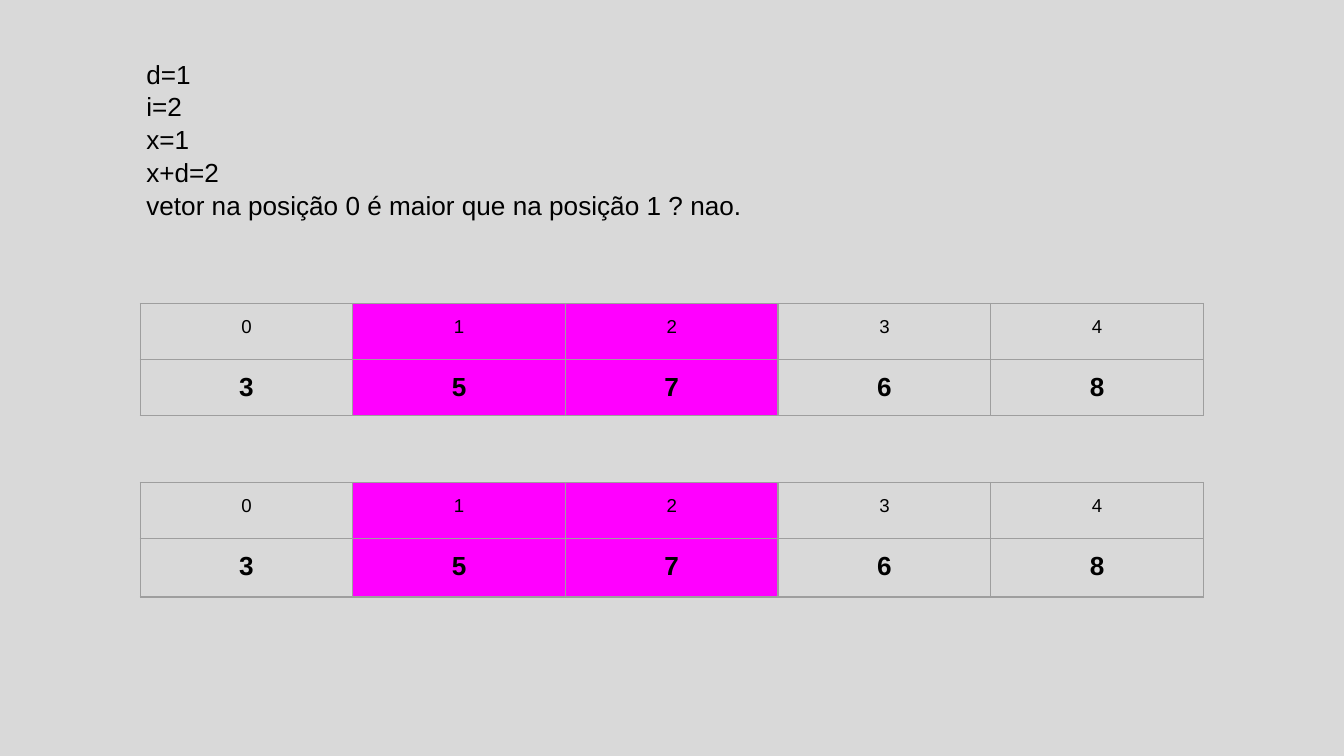
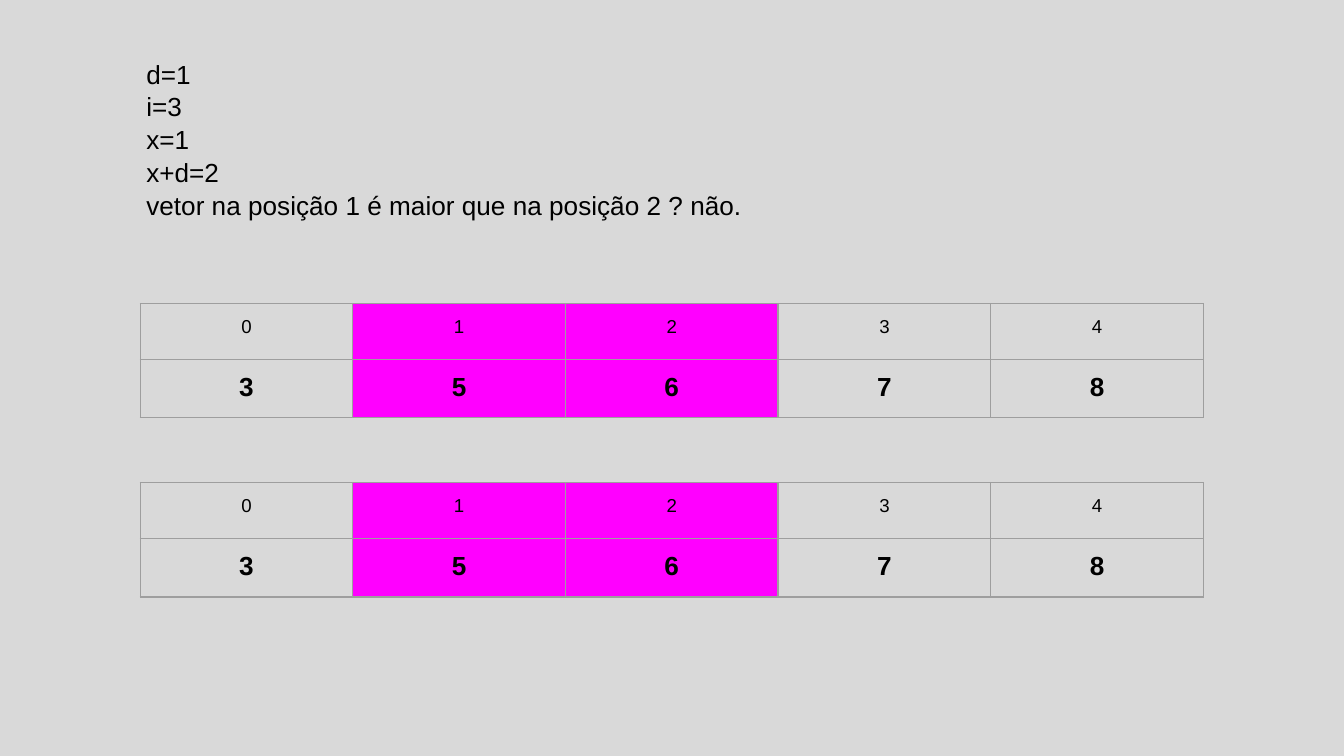
from dataclasses import dataclass

from lxml import etree
from pptx import Presentation
from pptx import util as u
from pptx.dml.color import RGBColor
from pptx.enum import text
from pptx.oxml.ns import qn

# Shared look: lengths in px, 400 px to the inch
PX = 2286
PAGE_WIDTH, PAGE_HEIGHT = 4000, 2250
MARGIN = 40
FONT = "Arial"
COLORS = {
    "background": "D9D9D9",
    "text": "000000",
    "highlight": "FF00FF",
    "border": "9E9E9E",
}

# Array tables and the state text above them
TABLE_LEFT = 417
BEFORE_TOP, AFTER_TOP = 903, 1436
COLUMN_WIDTH, ROW_HEIGHT = 633, 167
STATE_LEFT, STATE_TOP, STATE_WIDTH, STATE_HEIGHT = 396, 128, 3208, 376


@dataclass(frozen=True)
class Step:
    state: tuple[str, ...]
    values: tuple[int, ...]
    compared: tuple[int, ...]


STEPS = (
    Step(
        ("d=1", "i=2", "x=1", "x+d=2",
         "vetor na posição 0 é maior que na posição 1 ? nao."),
        (3, 5, 7, 6, 8),
        (1, 2),
    ),
    Step(
        ("d=1", "i=3", "x=1", "x+d=2",
         "vetor na posição 1 é maior que na posição 2 ? não."),
        (3, 5, 6, 7, 8),
        (1, 2),
    ),
)


def px(length: int) -> u.Emu:
    return u.Emu(length * PX)


def color(name: str) -> RGBColor:
    return RGBColor.from_string(COLORS[name])


def style_paragraph(para, size: int, bold: bool = False) -> None:
    para.font.name = FONT
    para.font.size = u.Pt(size)
    para.font.bold = bold
    para.font.color.rgb = color("text")


def set_margins(holder) -> None:
    holder.margin_left = holder.margin_right = px(MARGIN)
    holder.margin_top = holder.margin_bottom = px(MARGIN)


def add_borders(cell) -> None:
    properties = cell._tc.get_or_add_tcPr()
    for side in ("lnL", "lnR", "lnT", "lnB"):
        line = etree.SubElement(properties, qn(f"a:{side}"), w=str(u.Pt(0.75)))
        fill = etree.SubElement(line, qn("a:solidFill"))
        etree.SubElement(fill, qn("a:srgbClr"), val=COLORS["border"])


def add_array(page, step: Step, top: int) -> None:
    count = len(step.values)
    frame = page.shapes.add_table(
        2, count, px(TABLE_LEFT), px(top), px(COLUMN_WIDTH * count), px(ROW_HEIGHT * 2)
    )
    table = frame.table
    table.first_row = table.horz_banding = False
    for column in table.columns:
        column.width = px(COLUMN_WIDTH)

    # Positions in the first row, values in the second
    rows = ((range(count), 10, False), (step.values, 14, True))
    for row, (numbers, size, bold) in enumerate(rows):
        table.rows[row].height = px(ROW_HEIGHT)
        for position, number in enumerate(numbers):
            cell = table.cell(row, position)
            set_margins(cell)
            add_borders(cell)
            if position in step.compared:
                cell.fill.solid()
                cell.fill.fore_color.rgb = color("highlight")
            else:
                cell.fill.background()
            para = cell.text_frame.paragraphs[0]
            para.text = str(number)
            para.alignment = text.PP_ALIGN.CENTER
            style_paragraph(para, size, bold)


def add_state(page, lines: tuple[str, ...]) -> None:
    box = page.shapes.add_textbox(
        px(STATE_LEFT), px(STATE_TOP), px(STATE_WIDTH), px(STATE_HEIGHT)
    )
    frame = box.text_frame
    frame.word_wrap = True
    set_margins(frame)
    frame.text = "\n".join(lines)
    for para in frame.paragraphs:
        para.line_spacing = 1.05
        style_paragraph(para, 14)


def add_step(deck, step: Step) -> None:
    page = deck.slides.add_slide(deck.slide_layouts[6])
    page.background.fill.solid()
    page.background.fill.fore_color.rgb = color("background")
    add_array(page, step, BEFORE_TOP)
    add_state(page, step.state)
    add_array(page, step, AFTER_TOP)


def main() -> None:
    deck = Presentation()
    deck.slide_width, deck.slide_height = px(PAGE_WIDTH), px(PAGE_HEIGHT)
    for step in STEPS:
        add_step(deck, step)
    deck.save("out.pptx")


if __name__ == "__main__":
    main()
